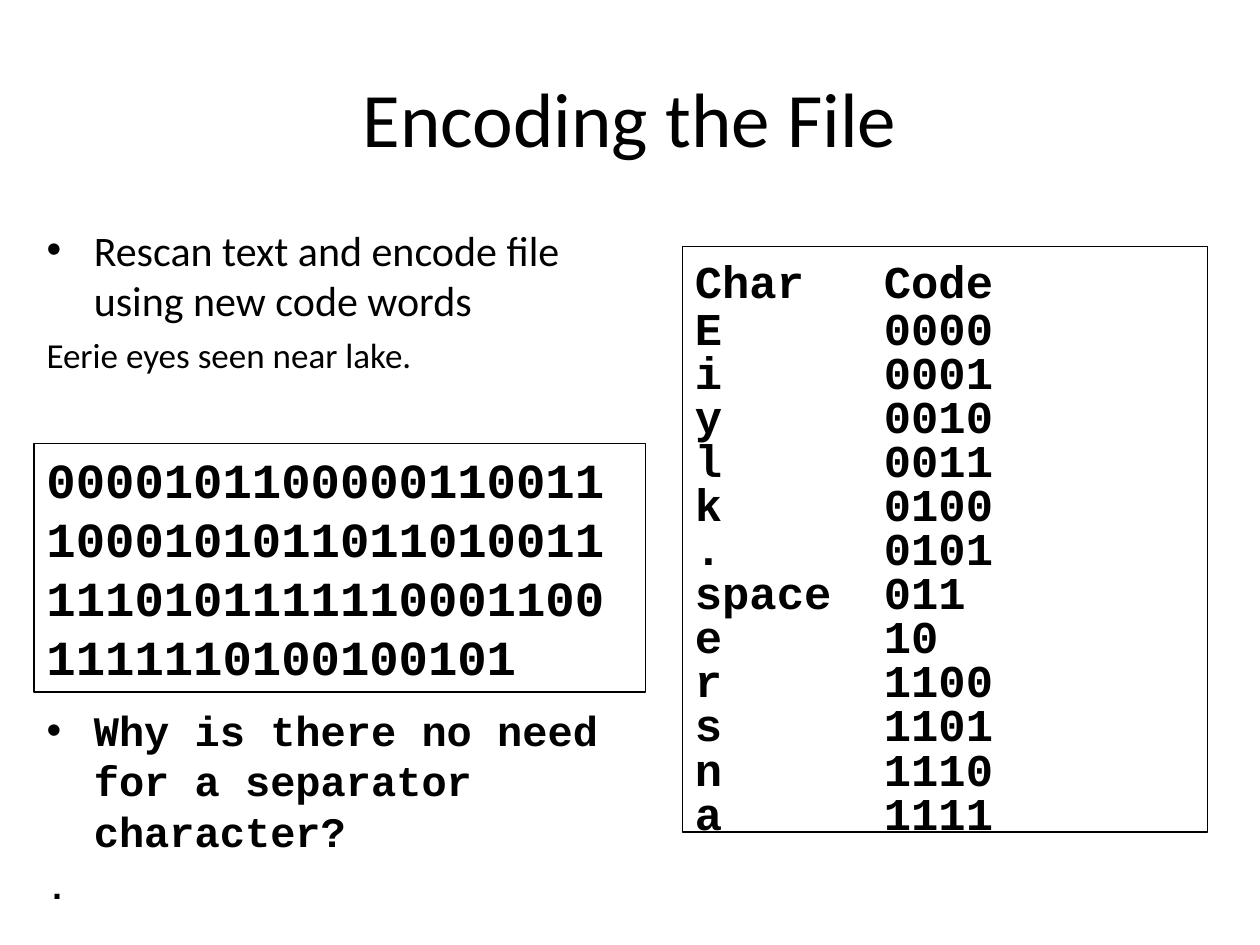
from dataclasses import dataclass
from typing import Optional

from lxml import etree
from pptx import Presentation
from pptx import util as u
from pptx.dml.color import RGBColor
from pptx.enum import shapes, text
from pptx.oxml import ns


@dataclass(frozen=True)
class Theme:
    ink: RGBColor = RGBColor(0, 0, 0)
    sans: str = "Calibri"
    mono: str = "Courier New"
    title: float = 44
    bits: float = 28
    table: float = 26
    bullet: float = 24
    example: float = 20
    indent: float = 27
    side_inset: float = 7.2
    top_inset: float = 3.6
    tab_step: float = 72


@dataclass(frozen=True)
class Line:
    words: str
    size: float
    font: str
    bullet: bool = False
    hanging: bool = True
    before: float = 0
    spacing: Optional[float] = None


@dataclass(frozen=True)
class Block:
    left: float
    top: float
    width: float
    height: float
    lines: tuple[Line, ...]
    framed: bool = False
    grows: bool = False


THEME = Theme()
BITS = "0000101100000110011100010101101101001111101011111100011001111110100100101"
CODES = {
    "E": "0000", "i": "0001", "y": "0010", "l": "0011", "k": "0100", ".": "0101",
    "space": "011", "e": "10", "r": "1100", "s": "1101", "n": "1110", "a": "1111",
}


def code_line(char: str, code: str) -> Line:
    tabs = "\t" if char == "space" else "\t\t\t"
    return Line(char + tabs + code, THEME.table, THEME.mono,
                hanging=False, before=6.5, spacing=0.6)


BLOCKS = (
    Block(19.5, 124.5, 342, 124.5, (
        Line("Rescan text and encode file using new code words",
             THEME.bullet, THEME.sans, bullet=True),
        Line("Eerie eyes seen near lake.", THEME.example, THEME.sans, before=5),
    )),
    Block(390, 141, 300, 334.5, (
        Line("Char\t\tCode", THEME.table, THEME.mono, hanging=False),
        *(code_line(char, code) for char, code in CODES.items()),
    ), framed=True),
    Block(19.5, 253.5, 349.5, 142, (
        Line(BITS, THEME.bits, THEME.mono, hanging=False),
    ), framed=True, grows=True),
    Block(19.5, 399, 342, 124.5, (
        Line("Why is there no need for a separator character?",
             THEME.bullet, THEME.mono, bullet=True),
        Line(".", THEME.example, THEME.mono, before=5),
    )),
)


def add_list_marks(para, line: Line) -> None:
    """Add the indent, the bullet and, for tabbed lines, the tab stops."""
    props = para._p.get_or_add_pPr()
    indent = u.Pt(THEME.indent) if line.hanging else 0
    props.set("marL", str(indent))
    props.set("indent", str(-indent))
    if line.bullet:
        color = etree.SubElement(props, ns.qn("a:buClr"))
        etree.SubElement(color, ns.qn("a:srgbClr"), val=str(THEME.ink))
        etree.SubElement(props, ns.qn("a:buFont"), typeface="Arial")
        etree.SubElement(props, ns.qn("a:buChar"), char="•")
    else:
        etree.SubElement(props, ns.qn("a:buNone"))
    if "\t" in line.words:
        stops = etree.SubElement(props, ns.qn("a:tabLst"))
        for step in range(3):
            place = u.Pt(THEME.indent + step * THEME.tab_step)
            etree.SubElement(stops, ns.qn("a:tab"), pos=str(place), algn="l")


def format_spans(para, font: str, size: float, bold: bool) -> None:
    for span in para.runs:
        span.font.name = font
        span.font.size = u.Pt(size)
        span.font.bold = bold
        span.font.color.rgb = THEME.ink


def write_line(para, line: Line) -> None:
    para.text = line.words
    add_list_marks(para, line)
    para.alignment = text.PP_ALIGN.LEFT
    para.space_before = u.Pt(line.before)
    if line.spacing:
        para.line_spacing = line.spacing
    format_spans(para, line.font, line.size, bold=line.font == THEME.mono)


def add_block(page, block: Block) -> None:
    place = [u.Pt(v) for v in (block.left, block.top, block.width, block.height)]
    if block.framed:
        box = page.shapes.add_shape(shapes.MSO_SHAPE.RECTANGLE, *place)
        box.shadow.inherit = False
        box.fill.background()
        box.line.color.rgb = THEME.ink
        box.line.width = u.Pt(0.75)
    else:
        box = page.shapes.add_textbox(*place)
    frame = box.text_frame
    frame.word_wrap = True
    frame.auto_size = (text.MSO_AUTO_SIZE.SHAPE_TO_FIT_TEXT if block.grows
                       else text.MSO_AUTO_SIZE.NONE)
    frame.vertical_anchor = text.MSO_ANCHOR.TOP
    frame.margin_left = frame.margin_right = u.Pt(THEME.side_inset)
    frame.margin_top = frame.margin_bottom = u.Pt(THEME.top_inset)
    for index, line in enumerate(block.lines):
        write_line(frame.add_paragraph() if index else frame.paragraphs[0], line)


def set_title(page, words: str) -> None:
    box = page.shapes.title
    box.left, box.top, box.width, box.height = (u.Pt(v) for v in (36, 21.6, 648, 90))
    frame = box.text_frame
    frame.text = words
    frame.vertical_anchor = text.MSO_ANCHOR.MIDDLE
    para = frame.paragraphs[0]
    para.alignment = text.PP_ALIGN.CENTER
    format_spans(para, THEME.sans, THEME.title, bold=False)


def main() -> None:
    deck = Presentation()
    deck.slide_width, deck.slide_height = u.Pt(720), u.Pt(540)
    page = deck.slides.add_slide(deck.slide_layouts[5])
    set_title(page, "Encoding the File")
    for block in BLOCKS:
        add_block(page, block)
    deck.save("out.pptx")


if __name__ == "__main__":
    main()
